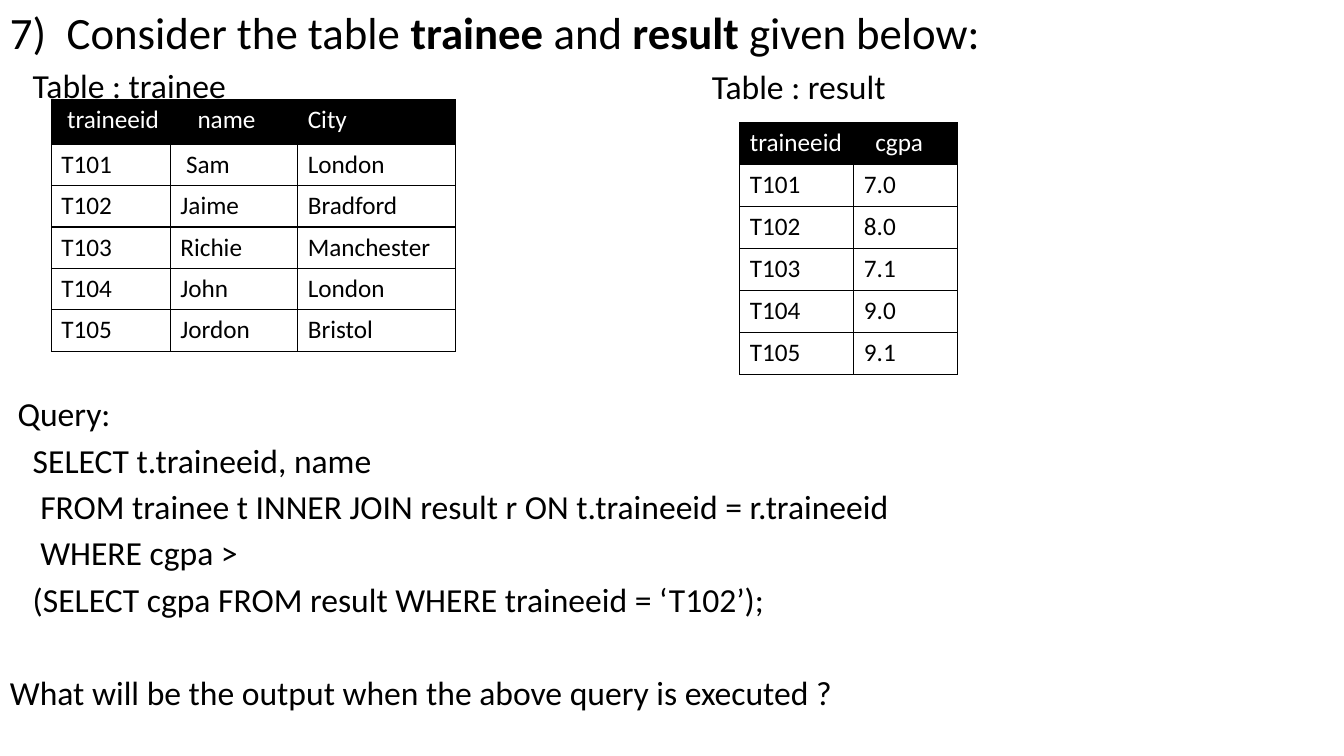
from pptx import Presentation
from pptx import util as u
from pptx.dml import color
from pptx.enum import text
from pptx.oxml import ns, xmlchemy

FONT = "Calibri"
BLACK, WHITE = "000000", "FFFFFF"
BODY_SPACE = 5.42   # width of one space at 24 pt
CELL_SPACE = 4.07   # width of one space at 18 pt
LINE_GAP = 4.3

TRAINEES = [
    ("traineeid", "name", "City"),
    ("T101", "Sam", "London"),
    ("T102", "Jaime", "Bradford"),
    ("T103", "Richie", "Manchester"),
    ("T104", "John", "London"),
    ("T105", "Jordon", "Bristol"),
]
RESULTS = [
    ("traineeid", "cgpa"),
    ("T101", "7.0"),
    ("T102", "8.0"),
    ("T103", "7.1"),
    ("T104", "9.0"),
    ("T105", "9.1"),
]

# Text, indent in spaces, space before in points
BODY_LINES = [
    ("Table : trainee", 3, LINE_GAP),
    ("Query:", 1, 205.7),
    ("SELECT t.traineeid, name", 3, LINE_GAP),
    ("FROM trainee t INNER JOIN result r ON t.traineeid = r.traineeid", 4, LINE_GAP),
    ("WHERE cgpa >", 4, LINE_GAP),
    ("(SELECT cgpa FROM result WHERE traineeid = ‘T102’);", 3, LINE_GAP),
    ("What will be the output when the above query is executed ?", 0, 37.9),
]


def rgb(value):
    return color.RGBColor.from_string(value)


def add_span(para, words, size, ink=BLACK, bold=False):
    span = para.add_run()
    span.text = words
    span.font.name = FONT
    span.font.size = u.Pt(size)
    span.font.bold = bold
    span.font.color.rgb = rgb(ink)


def set_indent(para, left, first=0):
    props = para._p.get_or_add_pPr()
    props.set("marL", str(u.Pt(left)))
    props.set("indent", str(u.Pt(first)))
    return props


def add_box(page, left, top, width, height):
    box = page.shapes.add_textbox(u.Pt(left), u.Pt(top), u.Pt(width), u.Pt(height))
    box.text_frame.word_wrap = True
    return box.text_frame


def add_heading(para):
    props = set_indent(para, 40.5, -40.5)
    number = xmlchemy.OxmlElement("a:buAutoNum")
    number.set("type", "arabicParenR")
    number.set("startAt", "7")
    props.append(number)
    for words, bold in [("Consider the table ", False), ("trainee", True),
                        (" and ", False), ("result", True),
                        (" given below:", False)]:
        add_span(para, words, 32, bold=bold)


def add_line(frame, words, spaces, before):
    para = frame.add_paragraph()
    para.space_before = u.Pt(before)
    set_indent(para, spaces * BODY_SPACE)
    add_span(para, words, 24)


def add_borders(cell):
    props = cell._tc.get_or_add_tcPr()
    for side in ("a:lnL", "a:lnR", "a:lnT", "a:lnB"):
        line = xmlchemy.OxmlElement(side)
        line.set("w", str(u.Pt(1)))
        fill = xmlchemy.OxmlElement("a:solidFill")
        ink = xmlchemy.OxmlElement("a:srgbClr")
        ink.set("val", BLACK)
        fill.append(ink)
        line.append(fill)
        props.append(line)


def add_grid(page, left, top, widths, heights, records, indents):
    """Draw a bordered table; indents maps (row, column) to a number of spaces."""
    frame = page.shapes.add_table(len(records), len(widths), u.Pt(left), u.Pt(top),
                                  u.Pt(sum(widths)), u.Pt(sum(heights)))
    grid = frame.table
    grid.first_row = grid.horz_banding = False
    for column, width in zip(grid.columns, widths):
        column.width = u.Pt(width)
    for r, (record, height) in enumerate(zip(records, heights)):
        grid.rows[r].height = u.Pt(height)
        paper, ink = (BLACK, WHITE) if r == 0 else (WHITE, BLACK)
        for c, words in enumerate(record):
            cell = grid.cell(r, c)
            cell.margin_left = u.Pt(7.2 + CELL_SPACE * indents.get((r, c), 0))
            cell.vertical_anchor = text.MSO_ANCHOR.TOP
            add_borders(cell)
            cell.fill.solid()
            cell.fill.fore_color.rgb = rgb(paper)
            add_span(cell.text_frame.paragraphs[0], words, 18, ink)


def main():
    deck = Presentation()
    deck.slide_width, deck.slide_height = u.Pt(960), u.Pt(540)
    page = deck.slides.add_slide(deck.slide_layouts[6])

    # Question and query
    body = add_box(page, 0, 0, 960, 533)
    add_heading(body.paragraphs[0])
    for words, spaces, before in BODY_LINES:
        add_line(body, words, spaces, before)

    # Caption of the second table
    caption = add_box(page, 501.4, 43.3, 200, 36.5)
    add_span(caption.paragraphs[0], "Table : result", 24)

    # Tables
    add_grid(page, 36.7, 71.3, [85, 91, 112.5], [31.7] + [29.6] * 5,
             TRAINEES, {(0, 0): 1, (0, 1): 3, (1, 1): 1})
    add_grid(page, 528.5, 87.8, [81.4, 74.2], [30] * 6, RESULTS, {(0, 1): 2})

    deck.save("out.pptx")


if __name__ == "__main__":
    main()
